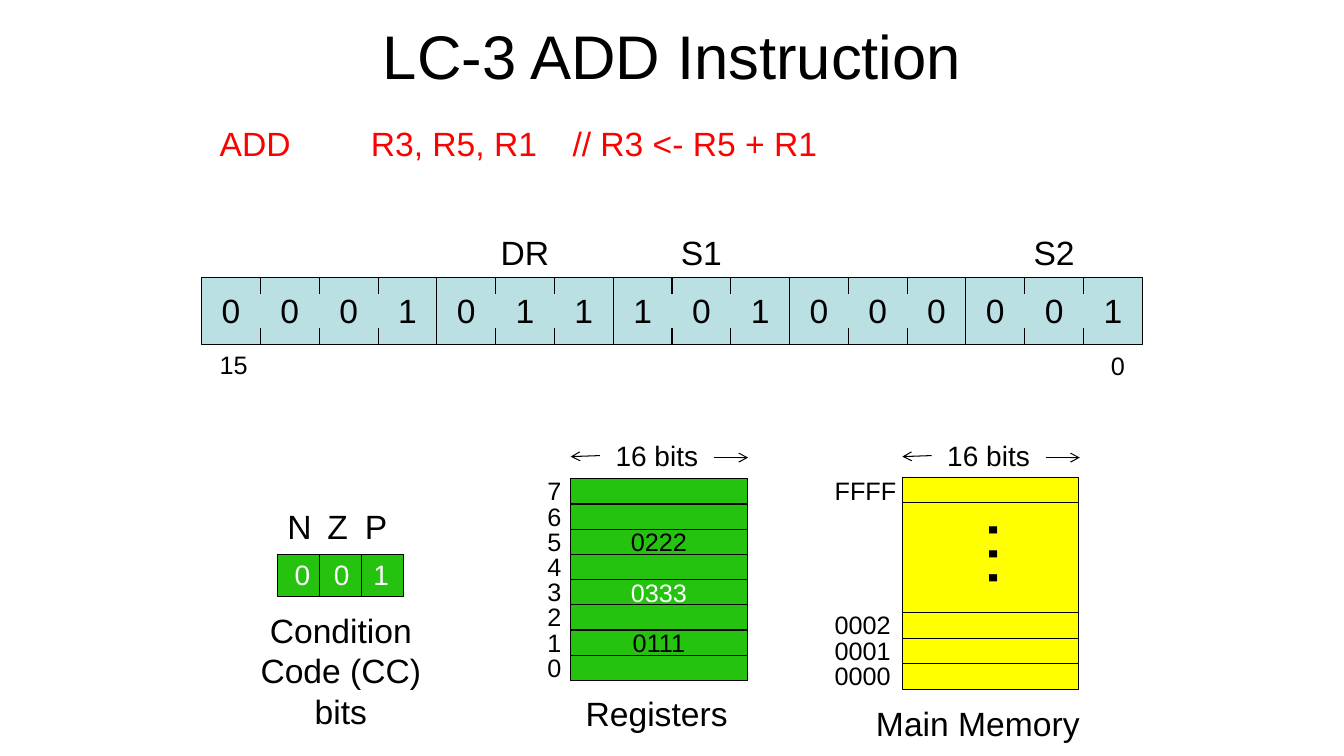
import pptx
import pptx.util
import pptx.dml.color
import pptx.enum.shapes
import pptx.enum.text
import pptx.oxml
from pptx.oxml.ns import qn

Inches = pptx.util.Inches
ALIGN = pptx.enum.text.PP_ALIGN
COLORS = {"black": "000000", "white": "FFFFFF", "red": "FF0000",
          "green": "25C210", "yellow": "FFFF00", "pale_blue": "BBE0E3"}
FONT = "Arial"

TITLE = "LC-3 ADD Instruction"
ASSEMBLY = "ADD\t\tR3, R5, R1\t// R3 <- R5 + R1"
BITS = "0001011101000001"
FIELDS = [("DR", 5), ("S1", 8), ("S2", 14)]  # label, bit cell it sits over
BIT_NUMBERS = [("15", 2.08, 3.42, 0.48), ("0", 10.92, 3.43, 0.34)]
CONDITION_CODES = [("N", "0"), ("Z", "0"), ("P", "1")]
CONDITION_CAPTION = ["Condition", "Code (CC) bits"]
REGISTERS = {5: ("0222", "black"), 3: ("0333", "white"), 1: ("0111", "black")}
REGISTER_COUNT = 8
WORD_SIZE = "16 bits"
ADDRESSES = [("FFFF", 4.67, 0.82), ("0002", 6.0, 0.76),
             ("0001", 6.25, 0.76), ("0000", 6.5, 0.76)]
MEMORY_LINES = [4.99, 6.08, 6.33, 6.58]

deck = pptx.Presentation()
deck.slide_width, deck.slide_height = Inches(13.33), Inches(7.5)
slide = deck.slides.add_slide(deck.slide_layouts[6])


def rgb(name):
    """Look up a colour by name."""
    return pptx.dml.color.RGBColor.from_string(COLORS[name])


def write(frame, lines, size, color="black", align=None, spacing=None):
    """Fill a text frame with one paragraph per line."""
    for index, line in enumerate(lines):
        paragraph = frame.add_paragraph() if index else frame.paragraphs[0]
        paragraph.alignment, paragraph.line_spacing = align, spacing
        run = paragraph.add_run()
        run.text = line
        run.font.name, run.font.size = FONT, pptx.util.Pt(size)
        run.font.color.rgb = rgb(color)


def label(lines, left, top, width, height, size, color="black",
          align=ALIGN.LEFT, spacing=None, wrap=False):
    """Add a text box."""
    box = slide.shapes.add_textbox(Inches(left), Inches(top),
                                   Inches(width), Inches(height))
    box.text_frame.word_wrap = wrap
    write(box.text_frame, lines, size, color, align, spacing)
    return box


def centred(text, middle, top, size, color="black", height=0.5):
    """Add a short label centred on a horizontal position."""
    label([text], middle - 0.35, top, 0.7, height, size, color,
          ALIGN.CENTER, wrap=True)


def cell(left, top, width, height, fill, text="", color="black"):
    """Add an outlined rectangle, with a centred value if given."""
    box = slide.shapes.add_shape(pptx.enum.shapes.MSO_SHAPE.RECTANGLE,
                                 Inches(left), Inches(top),
                                 Inches(width), Inches(height))
    box.shadow.inherit = False
    box.fill.solid()
    box.fill.fore_color.rgb = rgb(fill)
    box.line.color.rgb = rgb("black")
    box.line.width = pptx.util.Pt(0.75)
    if text:
        box.text_frame.vertical_anchor = pptx.enum.text.MSO_ANCHOR.MIDDLE
        write(box.text_frame, [text], 18, color, ALIGN.CENTER)


def line(x1, y1, x2, y2, arrow=False):
    """Add a thin black line, with an open arrowhead at its end if asked."""
    rule = slide.shapes.add_connector(
        pptx.enum.shapes.MSO_CONNECTOR.STRAIGHT,
        Inches(x1), Inches(y1), Inches(x2), Inches(y2))
    rule.line.color.rgb = rgb("black")
    rule.line.width = pptx.util.Pt(0.75)
    properties = rule._element.spPr
    if arrow:
        head = pptx.oxml.parse_xml(
            '<a:tailEnd xmlns:a="http://schemas.openxmlformats.org/'
            'drawingml/2006/main" type="arrow"/>')
        properties.find(qn("a:ln")).append(head)
    properties.append(properties.makeelement(qn("a:effectLst"), {}))


def word_width(left):
    """Mark the word size above a column, between two outward arrows."""
    label([WORD_SIZE], left + 0.34, 4.37, 1.03, 0.38, 20,
          align=ALIGN.CENTER, spacing=0.8)
    line(left + 0.29, 4.52, left, 4.53, arrow=True)
    line(left + 1.42, 4.54, left + 1.76, 4.54, arrow=True)


def draw_instruction():
    """Draw the 16-bit instruction word with its fields."""
    left, top, width, height, tick = 2, 2.75, 9.33, 0.67, 0.17
    pitch, bottom = width / len(BITS), top + height
    cell(left, top, width, height, "pale_blue")
    for index, bit in enumerate(BITS):
        edge = left + index * pitch
        if index and index % 4 == 0 and index < 4:
            line(edge, top, edge, bottom)
        elif index in (4, 7, 10, 13):
            line(edge, top, edge, bottom)
        elif index:
            line(edge, top, edge, top + tick)
            line(edge, bottom - tick, edge, bottom)
        centred(bit, edge + pitch / 2, 2.83, 24)
    for name, index in FIELDS:
        centred(name, left + (index + 0.5) * pitch, 2.25, 24)
    for number, x, y, number_width in BIT_NUMBERS:
        label([number], x, y, number_width, 0.4, 18)


def draw_condition_codes():
    """Draw the N, Z and P bits."""
    left, top, side = 2.75, 5.5, 0.417
    for index, (name, bit) in enumerate(CONDITION_CODES):
        cell(left + index * side, top, side, side, "green")
        centred(name, 2.97 + index * 0.38, 4.97, 24)
        centred(bit, 3.0 + index * 0.39, 5.48, 20, "white", 0.44)
    label(CONDITION_CAPTION, 2.42, 6, 1.92, 1.31, 24,
          align=ALIGN.CENTER, wrap=True)


def draw_registers():
    """Draw the register file, highest register on top."""
    left, top, width, row = 5.66, 4.75, 1.75, 0.25
    for index, register in enumerate(reversed(range(REGISTER_COUNT))):
        y = top + index * row
        value, color = REGISTERS.get(register, ("", "black"))
        cell(left, y, width, row, "green", value, color)
        label([str(register)], 5.33, y - 0.08, 0.34, 0.4, 18)
    word_width(left)
    label(["Registers"], 5.71, 6.83, 1.62, 0.5, 24)


def draw_memory():
    """Draw main memory with its first and last addresses."""
    left, width = 8.95, 1.75
    cell(left, 4.74, width, 2.1, "yellow")
    for y in MEMORY_LINES:
        line(left, y, left + width, y)
    label(["\u2026"], 9.63, 5, 0.96, 1.01, 54).rotation = 90
    for address, y, address_width in ADDRESSES:
        label([address], 8.18, y, address_width, 0.4, 18)
    word_width(left)
    label(["Main Memory"], 8.59, 6.92, 2.24, 0.5, 24)


heading = label([TITLE], 2.42, -0.08, 8.5, 1.25, 44,
                align=ALIGN.CENTER, wrap=True)
heading.text_frame.vertical_anchor = pptx.enum.text.MSO_ANCHOR.MIDDLE
label([ASSEMBLY], 2.08, 1.17, 9.22, 0.5, 24, "red", wrap=True)
draw_memory()
draw_registers()
draw_condition_codes()
draw_instruction()
deck.save("out.pptx")
